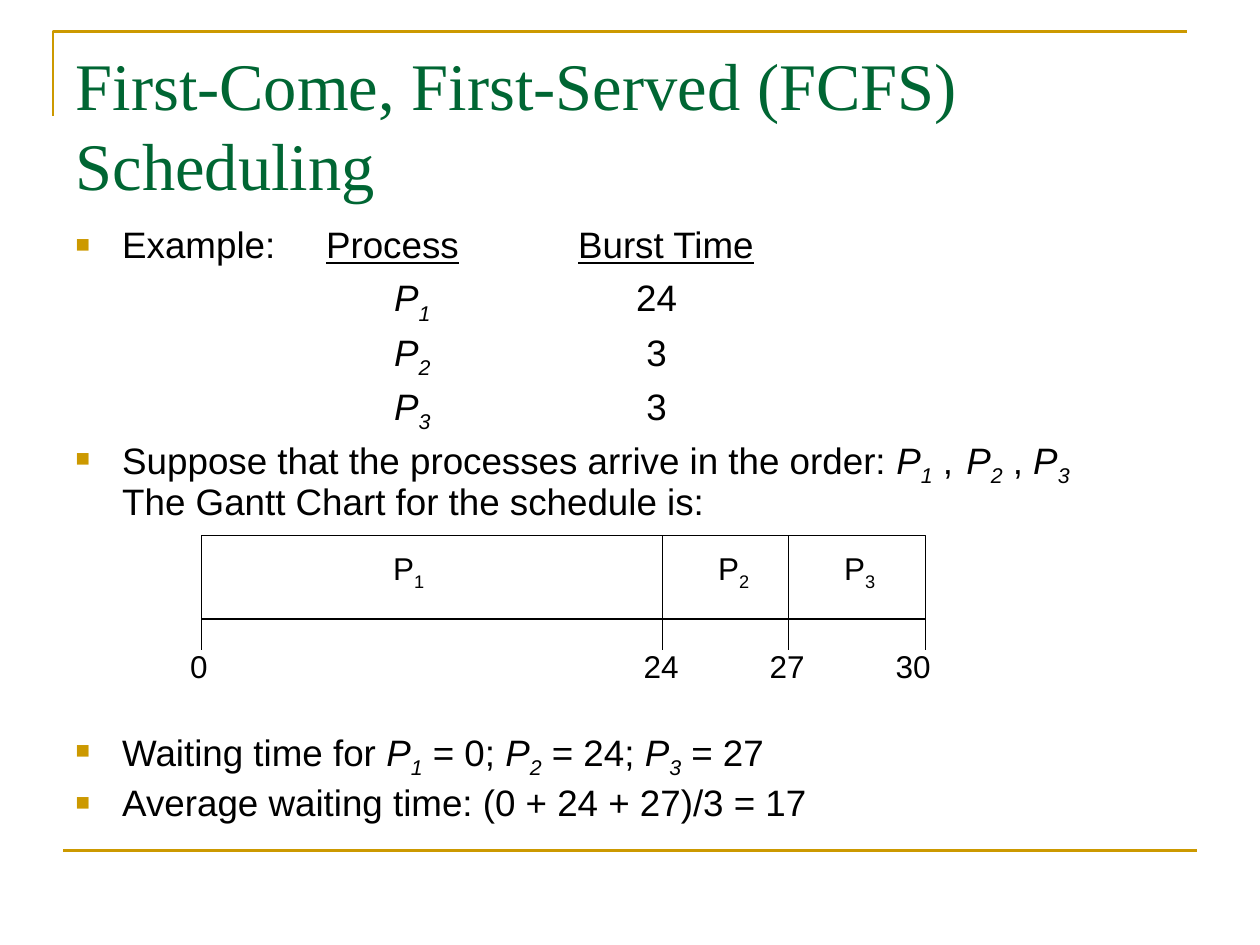
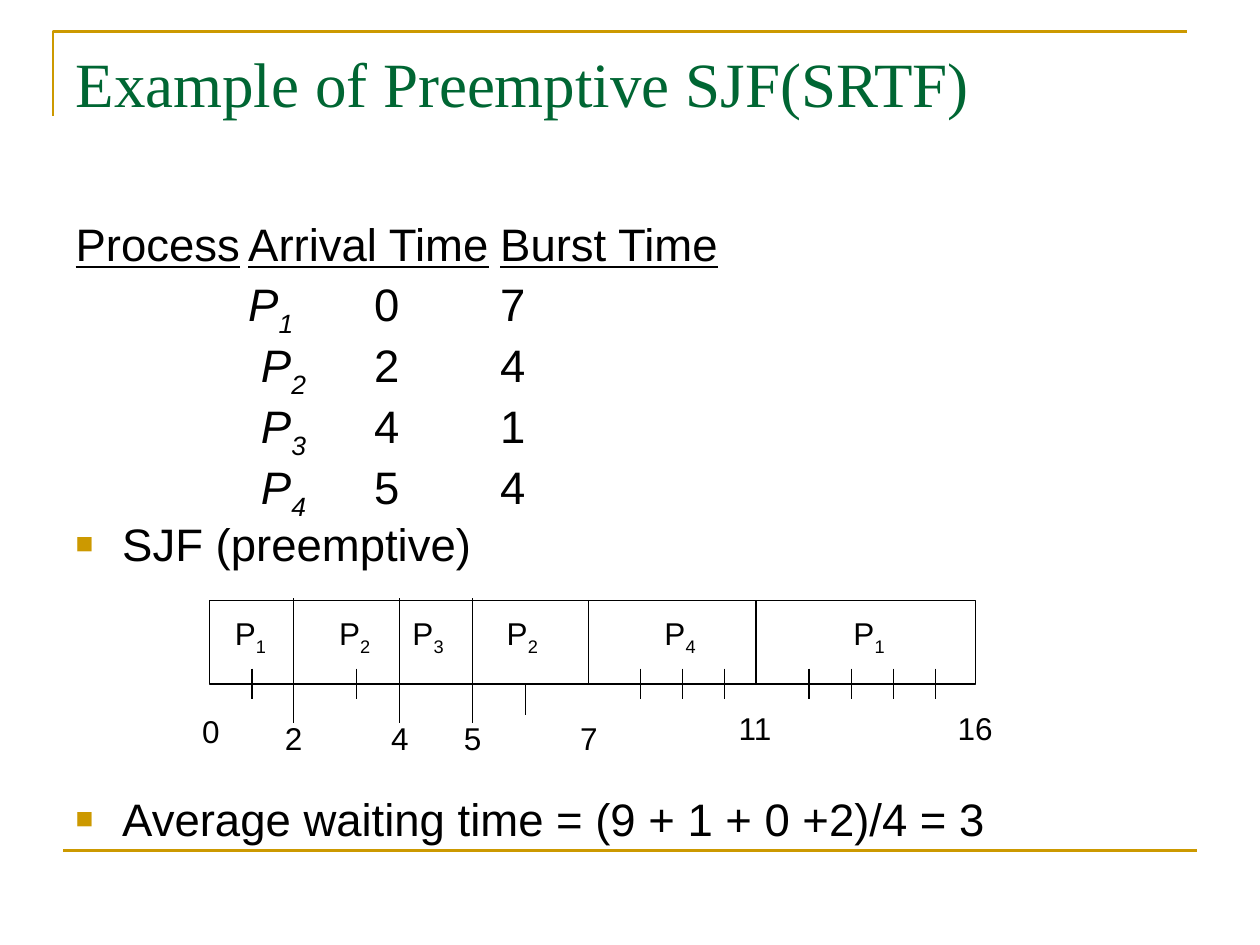
import dataclasses

import pptx
import pptx.util
import pptx.dml.color
import pptx.enum.shapes
import pptx.enum.text
import pptx.oxml.ns
import lxml.etree
from pptx.util import Cm, Pt

GOLD, GREEN, BLACK, WHITE = "CC9900", "006633", "000000", "FFFFFF"
TITLE_FONT, BODY_FONT = "Times New Roman", "Arial"
BAR_HEIGHT = 1.68
WALL = (0, BAR_HEIGHT)
DROP = (BAR_HEIGHT, 2.31)
TICK = (1.37, 1.98)
LONG_WALL = (-0.05, 2.46)


@dataclasses.dataclass
class Row:
    """A body paragraph; lengths are in centimetres, the gap is in points."""
    text: str
    bullet: bool = True
    margin: float = 0.94
    indent: float = -0.94
    tabs: tuple = ()
    tab_step: float = 2.54
    gap: float = 0


def color(value):
    return pptx.dml.color.RGBColor.from_string(value)


def style_font(font, name, size, ink):
    font.name = name
    font.size = Pt(size)
    font.color.rgb = color(ink)


def add_line(page, start, end, ink=BLACK, width=0.75):
    line = page.shapes.add_connector(
        pptx.enum.shapes.MSO_CONNECTOR.STRAIGHT,
        Cm(start[0]), Cm(start[1]), Cm(end[0]), Cm(end[1]))
    line.line.color.rgb = color(ink)
    line.line.width = Pt(width)
    effects = pptx.oxml.ns.qn("a:effectLst")
    lxml.etree.SubElement(line._element.spPr, effects)


def add_frame(page):
    """Draw the gold corner and the bottom rule found on every slide."""
    left, top, width, drop = 1.07, 0.64, 22.86, 1.69
    builder = page.shapes.build_freeform(Cm(left), Cm(top + drop))
    builder.add_line_segments(
        [(Cm(left), Cm(top)), (Cm(left + width), Cm(top))], close=False)
    corner = builder.convert_to_shape()
    corner.fill.background()
    corner.line.color.rgb = color(GOLD)
    corner.line.width = Pt(1.5)
    corner.shadow.inherit = False
    add_line(page, (1.27, 17.15), (24.13, 17.15), GOLD, 1.5)


def place(box, left, top, width, height):
    box.left, box.top = Cm(left), Cm(top)
    box.width, box.height = Cm(width), Cm(height)


def add_page(deck, title, title_size):
    page = deck.slides.add_slide(deck.slide_layouts[1])
    add_frame(page)
    place(page.shapes.title, 1.27, 0.76, 22.86, 3.48)
    frame = page.shapes.title.text_frame
    frame.text = title
    frame.auto_size = pptx.enum.text.MSO_AUTO_SIZE.NONE
    frame.vertical_anchor = pptx.enum.text.MSO_ANCHOR.TOP
    para = frame.paragraphs[0]
    para.alignment = pptx.enum.text.PP_ALIGN.LEFT
    style_font(para.font, TITLE_FONT, title_size, GREEN)
    return page


def add_process_name(para, name, italic):
    """Write P1 as a letter with a subscript number."""
    for part in (name[0], name[1:]):
        span = para.add_run()
        span.text = part
        if italic:
            span.font.italic = True
    span._r.get_or_add_rPr().set("baseline", "-25000")


def add_spans(para, text):
    """Write text; between bars, P1 gets a subscript and words an underline."""
    for index, piece in enumerate(text.split("|")):
        marked = index % 2 == 1
        if marked and piece[1:].isdigit():
            add_process_name(para, piece, italic=True)
        elif piece:
            if piece.startswith("\v"):
                para.add_line_break()
            span = para.add_run()
            span.text = piece.removeprefix("\v")
            if marked:
                span.font.underline = True


def format_list(para, row):
    """Set the indent, bullet and tabs of a body paragraph."""
    properties = para._p.get_or_add_pPr()
    properties.set("marL", str(Cm(row.margin)))
    properties.set("indent", str(Cm(row.indent)))
    properties.set("defTabSz", str(Cm(row.tab_step)))

    def add(parent, tag, **attributes):
        return lxml.etree.SubElement(
            parent, pptx.oxml.ns.qn("a:" + tag), attributes)

    if row.bullet:
        add(add(properties, "buClr"), "srgbClr", val=GOLD)
        add(properties, "buSzPct", val="65000")
        add(properties, "buFont", typeface=BODY_FONT)
        add(properties, "buChar", char="■")
    else:
        add(properties, "buNone")
    if row.tabs:
        tab_list = add(properties, "tabLst")
        for position in row.tabs:
            add(tab_list, "tab", pos=str(Cm(position)), algn="l")


def fill_body(page, rows, size, line_spacing, gap):
    body = page.placeholders[1]
    place(body, 1.27, 4.45, 22.86, 13.3)
    frame = body.text_frame
    frame.auto_size = pptx.enum.text.MSO_AUTO_SIZE.NONE
    for index, row in enumerate(rows):
        para = frame.add_paragraph() if index else frame.paragraphs[0]
        format_list(para, row)
        para.line_spacing = line_spacing
        para.space_before = Pt((row.gap or gap) if index else 0)
        style_font(para.font, BODY_FONT, size, BLACK)
        add_spans(para, row.text)


def add_label(page, center, middle, text):
    width, height = 1.8, 1.02
    box = page.shapes.add_textbox(
        Cm(center - width / 2), Cm(middle - height / 2), Cm(width), Cm(height))
    frame = box.text_frame
    frame.word_wrap = False
    frame.vertical_anchor = pptx.enum.text.MSO_ANCHOR.MIDDLE
    para = frame.paragraphs[0]
    para.alignment = pptx.enum.text.PP_ALIGN.CENTER
    style_font(para.font, BODY_FONT, 18, BLACK)
    if text.startswith("P"):
        add_process_name(para, text, italic=False)
    else:
        para.add_run().text = text


def add_gantt(page, left, top, width, processes, times, lines):
    """Draw a Gantt bar; all positions are measured from its top left corner."""
    bar = page.shapes.add_shape(
        pptx.enum.shapes.MSO_SHAPE.RECTANGLE,
        Cm(left), Cm(top), Cm(width), Cm(BAR_HEIGHT))
    bar.shadow.inherit = False
    bar.fill.solid()
    bar.fill.fore_color.rgb = color(WHITE)
    bar.line.color.rgb = color(BLACK)
    bar.line.width = Pt(0.75)
    for x, (start, end) in lines:
        add_line(page, (left + x, top + start), (left + x, top + end))
    for name, x in processes:
        add_label(page, left + x, top + 0.7, name)
    for time, x, y in times:
        add_label(page, left + x, top + y, time)


def add_fcfs_page(deck):
    page = add_page(deck, "First-Come, First-Served (FCFS) Scheduling", 38)
    bursts = [("P1", "24"), ("P2", " 3"), ("P3", " 3")]
    rows = [Row("Example:\t|Process|\t|Burst Time|", tabs=(5.05, 10.13))]
    rows += [Row(f"|{name}|\t{burst}", bullet=False,
                 margin=6.42, indent=0, tab_step=4.88)
             for name, burst in bursts]
    rows += [
        Row("Suppose that the processes arrive in the order: "
            "|P1| ,\t |P2| , |P3|"
            "\vThe Gantt Chart for the schedule is:", tabs=(17.75,)),
        Row("Waiting time for |P1| = 0; |P2| = 24; |P3| = 27", gap=118.5),
        Row("Average waiting time: (0 + 24 + 27)/3 = 17"),
    ]
    fill_body(page, rows, 21, 0.9, 5.2)
    width, inner_walls = 14.6, [9.3, 11.84]
    lines = [(x, WALL) for x in inner_walls]
    lines += [(x, DROP) for x in [0, *inner_walls, width]]
    add_gantt(
        page, 4.06, 10.8, width,
        processes=[("P1", 4.18), ("P2", 10.73), ("P3", 13.27)],
        times=[("0", -0.05, 2.62), ("24", 9.27, 2.62),
               ("27", 11.81, 2.62), ("30", 14.35, 2.62)],
        lines=lines)


def add_srtf_page(deck):
    page = add_page(deck, "Example of Preemptive SJF(SRTF)", 36)
    column = 3.48
    jobs = [("|P1|", 0, 7), (" |P2|", 2, 4), (" |P3|", 4, 1), (" |P4|", 5, 4)]
    rows = [Row("|Process|\t|Arrival Time|\t|Burst Time|", bullet=False,
                margin=column, indent=-column, tab_step=5.08)]
    rows += [Row(f"{name}\t{arrival}\t{burst}", bullet=False,
                 margin=column, indent=0)
             for name, arrival, burst in jobs]
    rows += [
        Row("SJF (preemptive)"),
        Row("Average waiting time = (9 + 1 + 0 +2)/4 = 3", gap=132.5),
    ]
    fill_body(page, rows, 26, 0.8, 6.5)
    ticks = [0.86, 2.97] + [8.69 + 0.85 * step for step in (0, 1, 2, 4, 5, 6, 7)]
    lines = [(x, LONG_WALL) for x in (1.7, 3.84, 5.31)]
    lines += [(x, WALL) for x in (7.65, 11.02)]
    lines += [(x, TICK) for x in ticks] + [(6.38, DROP)]
    add_gantt(
        page, 4.22, 12.11, 15.44,
        processes=[("P1", 0.83), ("P2", 2.93), ("P3", 4.41),
                   ("P2", 6.31), ("P4", 9.49), ("P1", 13.3)],
        times=[("0", 0.03, 2.62), ("2", 1.7, 2.77), ("4", 3.84, 2.77),
               ("5", 5.31, 2.77), ("7", 7.65, 2.77),
               ("11", 11, 2.57), ("16", 15.44, 2.57)],
        lines=lines)


def main():
    deck = pptx.Presentation()
    deck.slide_width, deck.slide_height = Cm(25.4), Cm(19.05)
    add_fcfs_page(deck)
    add_srtf_page(deck)
    deck.save("out.pptx")


if __name__ == "__main__":
    main()
